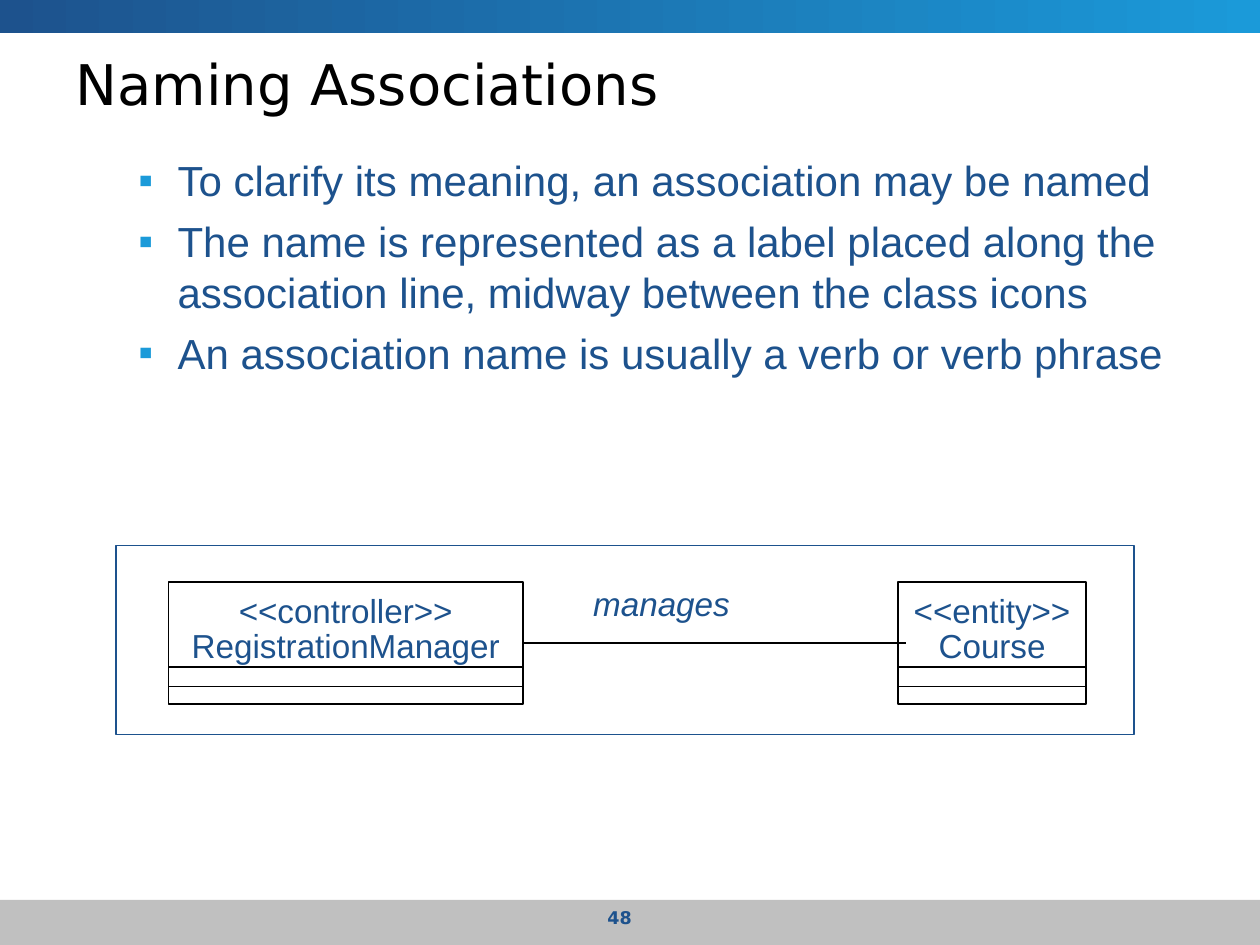
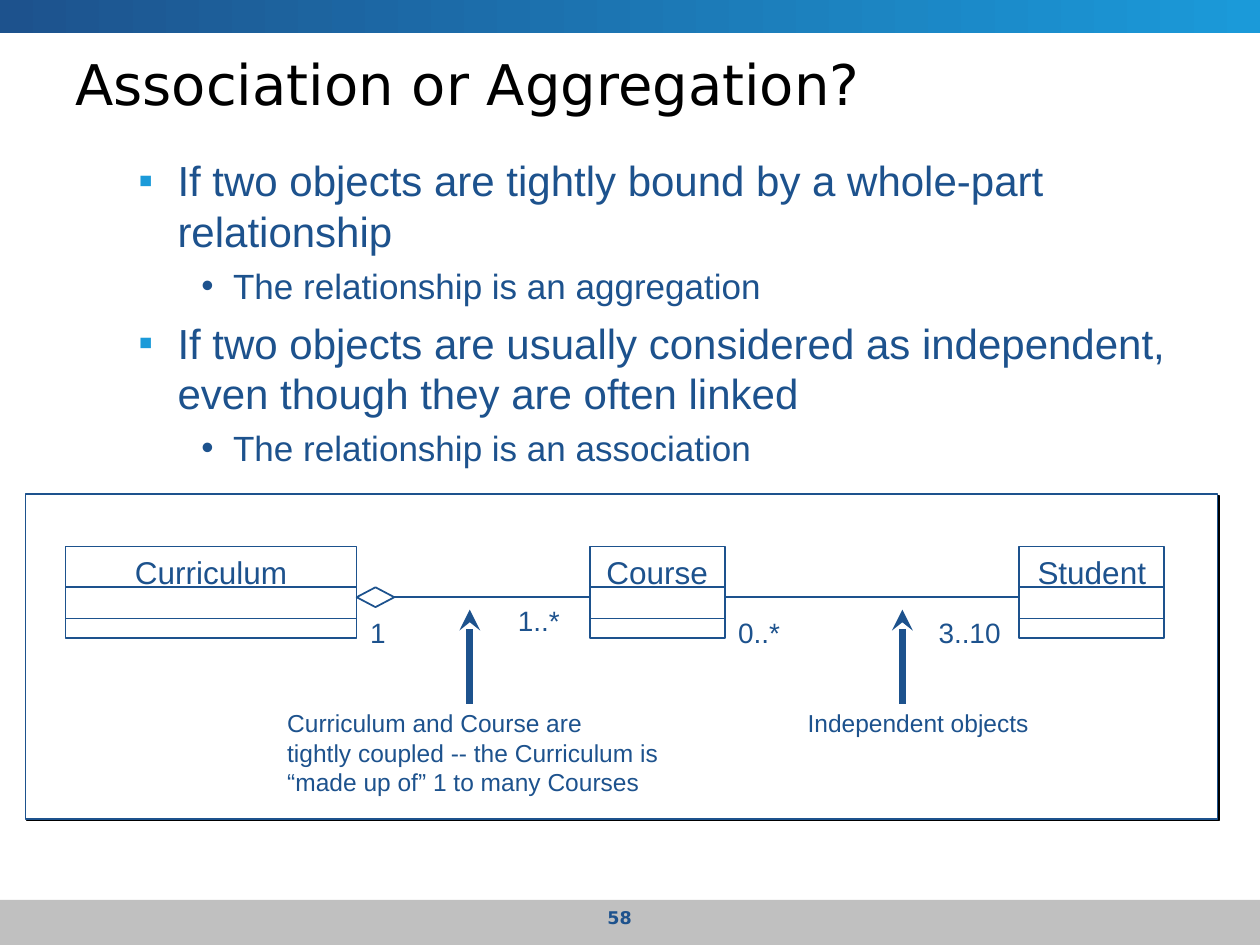
import pptx
import pptx.util
import pptx.dml.color
import pptx.enum.shapes
import pptx.enum.text
import pptx.oxml
import pptx.oxml.ns
from dataclasses import dataclass
from lxml import etree

Cm = pptx.util.Cm
Pt = pptx.util.Pt
SHAPES = pptx.enum.shapes.MSO_SHAPE
ALIGN = pptx.enum.text.PP_ALIGN
ANCHOR = pptx.enum.text.MSO_ANCHOR


@dataclass(frozen=True)
class Theme:
    navy: str = "1D528D"
    sky: str = "1B9AD9"
    gray: str = "C0C0C0"
    white: str = "FFFFFF"
    black: str = "000000"
    body_font: str = "Arial"
    title_font: str = "DejaVu Sans"
    title_size: int = 32
    stereotype_size: int = 19
    class_size: int = 18
    label_size: int = 16
    caption_size: int = 14
    number_size: int = 10
    # Per bullet level: character, colour, size, left margin, indent, space before
    bullets: tuple = (
        ("▪", "1B9AD9", 24, 2.06, -0.79, 6),
        ("•", "1D528D", 20, 3.18, -0.64, 5),
    )


def rgb(color):
    return pptx.dml.color.RGBColor.from_string(color)


def add_child(parent, tag, **attributes):
    child = etree.SubElement(parent, pptx.oxml.ns.qn(tag))
    for name, value in attributes.items():
        child.set(name, str(value))
    return child


class Deck:
    def __init__(self, theme):
        self.theme = theme
        self.presentation = pptx.Presentation()
        self.presentation.slide_width = Cm(25.4)
        self.presentation.slide_height = Cm(19.05)
        self.slide = None

    def new_slide(self, title, number, bullets):
        """Start a slide with its bands, title, bullets and page number."""
        theme = self.theme
        self.slide = self.presentation.slides.add_slide(self.presentation.slide_layouts[6])
        self.box(0, 18.14, 25.4, 0.91, fill=theme.gray)
        band = self.box(0, 0, 25.4, 0.66)
        band.fill.gradient()
        band.fill.gradient_angle = 0
        for stop, color in zip(band.fill.gradient_stops, (theme.navy, theme.sky)):
            stop.color.rgb = rgb(color)
        self.text(1.27, 0.89, 22.86, 1.57, title, theme.title_size, font=theme.title_font,
                  color=theme.black, anchor=ANCHOR.MIDDLE)
        self.bullets(1.27, 3, 22.86, 14.58, bullets)
        self.text(9.53, 18.16, 5.92, 0.71, str(number), theme.number_size,
                  font=theme.title_font, align=ALIGN.CENTER, bold=True)

    def box(self, left, top, width, height, fill=None, line=None, weight=1,
            kind=SHAPES.RECTANGLE):
        shape = self.slide.shapes.add_shape(kind, Cm(left), Cm(top), Cm(width), Cm(height))
        shape.shadow.inherit = False
        if fill:
            shape.fill.solid()
            shape.fill.fore_color.rgb = rgb(fill)
        else:
            shape.fill.background()
        if line:
            shape.line.color.rgb = rgb(line)
            shape.line.width = Pt(weight)
        else:
            shape.line.fill.background()
        return shape

    def frame(self, left, top, width, height, shadow=False):
        shape = self.box(left, top, width, height, self.theme.white, self.theme.navy, 0.75)
        if shadow:
            effects = shape._element.spPr.find(pptx.oxml.ns.qn("a:effectLst"))
            outer = add_child(effects, "a:outerShdw", blurRad=0, dist=Pt(1.4),
                              dir=2700000, algn="ctr", rotWithShape=0)
            add_child(outer, "a:srgbClr", val=self.theme.black)

    def line(self, x1, y1, x2, y2, color=None, weight=1, arrow=False):
        connector = self.slide.shapes.add_connector(
            pptx.enum.shapes.MSO_CONNECTOR.STRAIGHT, Cm(x1), Cm(y1), Cm(x2), Cm(y2))
        connector.line.color.rgb = rgb(color or self.theme.navy)
        connector.line.width = Pt(weight)
        if arrow:
            add_child(connector.line._get_or_add_ln(), "a:headEnd", type="stealth")
        add_child(connector._element.spPr, "a:effectLst")
        return connector

    def format(self, paragraph, size, font=None, color=None, bold=False, italic=False):
        for run in paragraph.runs:
            run.font.name = font or self.theme.body_font
            run.font.size = Pt(size)
            run.font.color.rgb = rgb(color or self.theme.navy)
            run.font.bold = bold
            run.font.italic = italic

    def text(self, left, top, width, height, content, size, align=ALIGN.LEFT,
             anchor=ANCHOR.TOP, wrap=True, **style):
        shape = self.slide.shapes.add_textbox(Cm(left), Cm(top), Cm(width), Cm(height))
        self.fill_text(shape, content, size, align, anchor, wrap, **style)

    def fill_text(self, shape, content, size, align, anchor, wrap, **style):
        frame = shape.text_frame
        frame.text = content
        frame.word_wrap = wrap
        frame.vertical_anchor = anchor
        for paragraph in frame.paragraphs:
            paragraph.alignment = align
            self.format(paragraph, size, **style)

    def bullets(self, left, top, width, height, items):
        shape = self.slide.shapes.add_textbox(Cm(left), Cm(top), Cm(width), Cm(height))
        frame = shape.text_frame
        frame.word_wrap = True
        frame.text = "\n".join(content for _, content in items)
        for index, (paragraph, (level, _)) in enumerate(zip(frame.paragraphs, items)):
            character, color, size, margin, indent, space = self.theme.bullets[level]
            paragraph.level = level
            if index:
                paragraph.space_before = Pt(space)
            properties = paragraph._p.get_or_add_pPr()
            properties.set("marL", str(Cm(margin)))
            properties.set("indent", str(Cm(indent)))
            add_child(add_child(properties, "a:buClr"), "a:srgbClr", val=color)
            add_child(properties, "a:buFont", typeface=self.theme.body_font)
            add_child(properties, "a:buChar", char=character)
            self.format(paragraph, size)

    def class_box(self, left, top, width, height, dividers, line, fill=None):
        """Draw a class icon with a divider at each given depth."""
        shape = self.box(left, top, width, height, fill, line)
        for depth in dividers:
            self.line(left, top + depth, left + width, top + depth, line)
        return shape


def naming_associations(deck):
    theme = deck.theme
    deck.new_slide("Naming Associations", 48, [
        (0, "To clarify its meaning, an association may be named"),
        (0, "The name is represented as a label placed along the association line, "
            "midway between the class icons"),
        (0, "An association name is usually a verb or verb phrase"),
    ])
    deck.frame(2.34, 11, 20.52, 3.81)

    # Classes with their stereotypes
    top = 11.73
    icons = []
    for left, width, stereotype, name in (
            (3.4, 7.14, "<<controller>>", "RegistrationManager"),
            (18.11, 3.78, "<<entity>>", "Course")):
        icons.append(deck.class_box(left, top, width, 2.46, (1.71, 2.11), theme.black))
        for offset, label in ((0.05, stereotype), (0.75, name)):
            deck.text(left, top + offset, width, 1.07, label, theme.stereotype_size,
                      align=ALIGN.CENTER, wrap=False)

    # Named association, reaching slightly into the second class
    association = deck.line(10.54, 12.96, 18.26, 12.96, theme.black)
    association.begin_connect(icons[0], 3)
    deck.text(11.71, 11.63, 3.6, 1.07, "manages", theme.stereotype_size, italic=True)


def association_or_aggregation(deck):
    theme = deck.theme
    deck.new_slide("Association or Aggregation?", 58, [
        (0, "If two objects are tightly bound by a whole-part relationship"),
        (1, "The relationship is an aggregation"),
        (0, "If two objects are usually considered as independent, "
            "even though they are often linked"),
        (1, "The relationship is an association"),
    ])
    deck.frame(0.51, 9.96, 24.03, 6.55, shadow=True)

    # Classes
    for left, width, name in ((1.32, 5.87, "Curriculum"), (11.89, 2.72, "Course"),
                              (20.55, 2.92, "Student")):
        icon = deck.class_box(left, 11.02, width, 1.85, (0.82, 1.45), theme.navy, theme.white)
        deck.fill_text(icon, name, theme.class_size, ALIGN.CENTER, ANCHOR.TOP, False)

    # Aggregation and association lines, with the diamond at the whole
    axis = 12.04
    for start, end in ((7.19, 11.89), (14.61, 20.55)):
        deck.line(start, axis, end, axis)
    deck.box(7.19, axis - 0.2, 0.76, 0.4, theme.white, theme.navy, kind=SHAPES.DIAMOND)

    # Multiplicities
    for left, top, width, label in ((7.21, 12.29, 1.47, "1"), (10.19, 12.04, 1.7, "1..*"),
                                    (14.63, 12.29, 1.4, "0..*"), (18.67, 12.29, 1.85, "3..10")):
        deck.text(left, top, width, 0.94, label, theme.label_size)

    # Captions with arrows to the lines
    for x, left, width, height, caption in (
            (9.47, 5.54, 9.07, 2.03, "Curriculum and Course are\n"
             "tightly coupled -- the Curriculum is\n“made up of” 1 to many Courses"),
            (18.19, 16.03, 5.84, 0.86, "Independent objects")):
        deck.line(x, 12.29, x, 14.2, weight=4, arrow=True)
        deck.text(left, 14.15, width, height, caption, theme.caption_size)


def main():
    deck = Deck(Theme())
    naming_associations(deck)
    association_or_aggregation(deck)
    deck.presentation.save("out.pptx")


if __name__ == "__main__":
    main()
